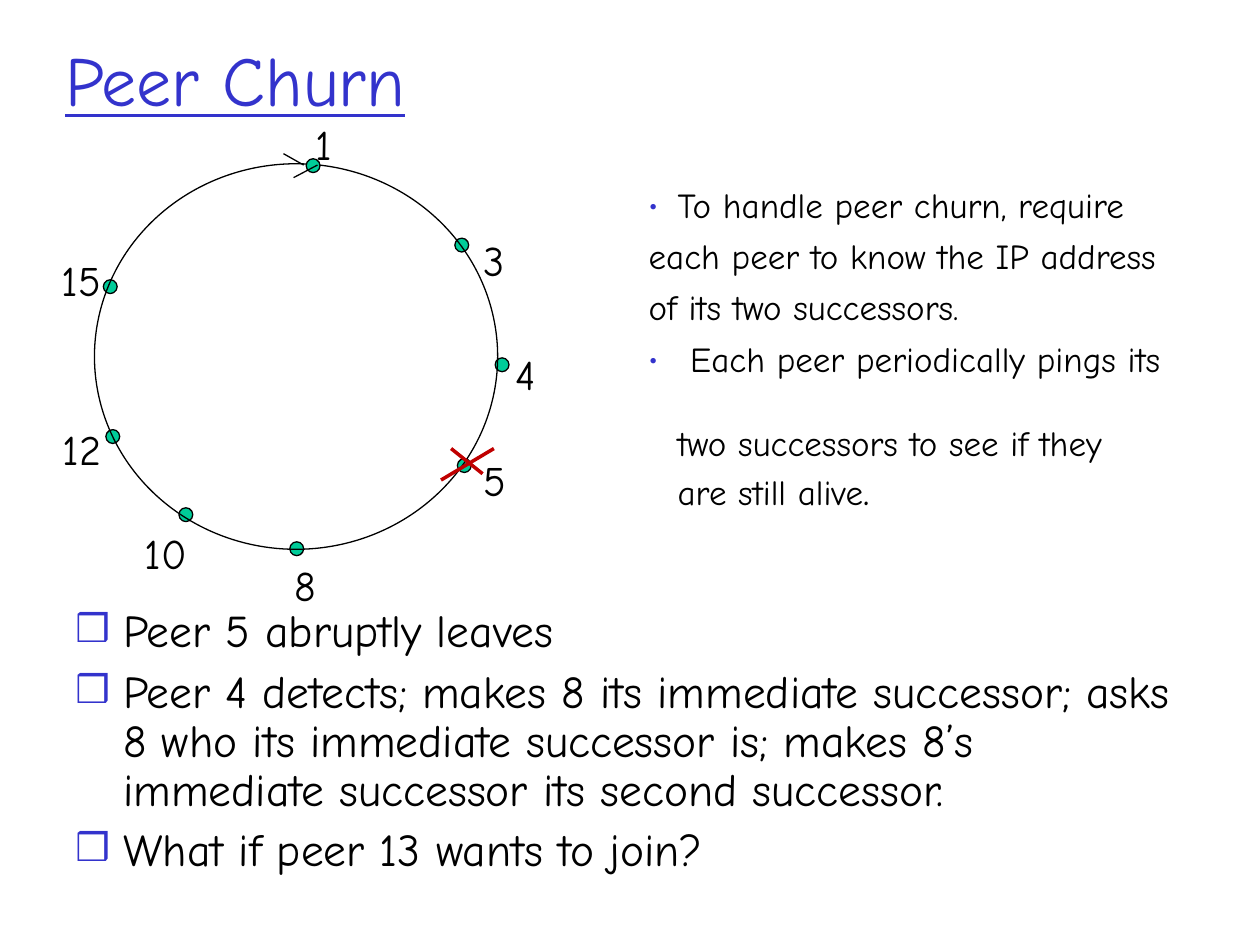
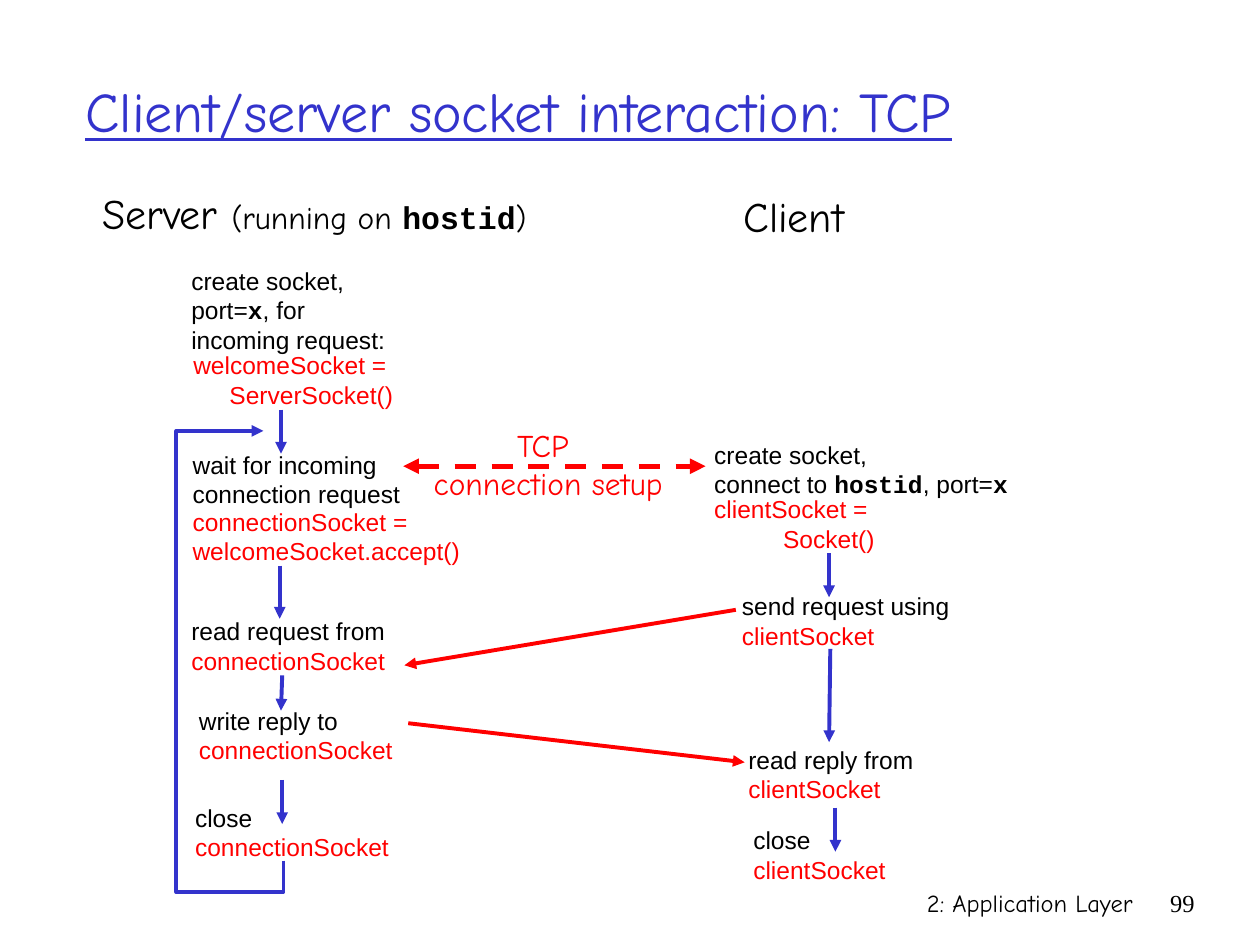
from lxml.etree import SubElement
from pptx import Presentation
from pptx.dml.color import RGBColor
from pptx.enum.dml import MSO_LINE
from pptx.enum.shapes import MSO_CONNECTOR, MSO_SHAPE
from pptx.enum.text import MSO_ANCHOR, MSO_AUTO_SIZE, PP_ALIGN
from pptx.oxml.ns import qn
from pptx.util import Inches, Pt

BLACK = RGBColor(0x00, 0x00, 0x00)
BLUE = RGBColor(0x33, 0x33, 0xCC)
GREEN = RGBColor(0x00, 0xCC, 0x99)
RED = RGBColor(0xFF, 0x00, 0x00)
DARK_RED = RGBColor(0xC0, 0x00, 0x00)

MONO = {"name": "Courier New", "bold": True}
CODE = {"color": RED}
RIGHT = {"alignment": PP_ALIGN.RIGHT}
CENTER = {"alignment": PP_ALIGN.CENTER}


class Deck:
    """Holds the shared style and the current slide, and draws each kind of element."""

    def __init__(self):
        self.prs = Presentation()
        self.prs.slide_width, self.prs.slide_height = Inches(10), Inches(7.5)
        self.font = {"name": "Comic Neue", "size": Pt(24), "color": BLACK}
        self.s = None

    def new_slide(self):
        self.s = self.prs.slides.add_slide(self.prs.slide_layouts[6])

    def text(self, box, paragraphs, font=None, para=None, anchor=MSO_ANCHOR.TOP, wrap=False):
        sp = self.s.shapes.add_textbox(*map(Inches, box))
        tf = sp.text_frame
        tf.word_wrap, tf.vertical_anchor = wrap, anchor
        tf.auto_size = MSO_AUTO_SIZE.NONE if wrap else MSO_AUTO_SIZE.SHAPE_TO_FIT_TEXT
        for i, item in enumerate(paragraphs):
            runs, own = item if isinstance(item, tuple) else (item, {})
            p = tf.paragraphs[0] if i == 0 else tf.add_paragraph()
            self.format_paragraph(p, {**(para or {}), **own})
            for run in [runs] if isinstance(runs, str) else runs:
                words, style = run if isinstance(run, tuple) else (run, {})
                r = p.add_run()
                r.text = words
                for name, value in {**self.font, **(font or {}), **style}.items():
                    if name == "color":
                        r.font.color.rgb = value
                    else:
                        setattr(r.font, name, value)

    def format_paragraph(self, p, fmt):
        bullet, margin = fmt.pop("bullet", None), fmt.pop("margin", 0)
        for name, value in fmt.items():
            setattr(p, name, value)
        pPr = p._p.get_or_add_pPr()
        pPr.set("marL", str(Inches(margin)))
        if bullet:
            pPr.set("indent", str(-Inches(margin)))
            color = SubElement(pPr, qn("a:buClr"))
            SubElement(color, qn("a:srgbClr"), val=str(BLUE))
            SubElement(pPr, qn("a:buSzPct"), val="85000")
            SubElement(pPr, qn("a:buFont"), typeface=self.font["name"])
            SubElement(pPr, qn("a:buChar"), char=bullet)

    def title(self, box, words, size):
        self.text(box, [words], {"size": Pt(size), "color": BLUE, "underline": True},
                  anchor=MSO_ANCHOR.MIDDLE, wrap=True)

    def ellipse(self, box, fill=None):
        sp = self.s.shapes.add_shape(MSO_SHAPE.OVAL, *map(Inches, box))
        sp.shadow.inherit = False
        if fill is None:
            sp.fill.background()
        else:
            sp.fill.solid()
            sp.fill.fore_color.rgb = fill
        self.stroke(sp, BLACK, 0.75)

    def stroke(self, sp, color, width, ends=()):
        sp.line.color.rgb, sp.line.width = color, Pt(width)
        for end in ends:
            SubElement(sp.line._get_or_add_ln(), qn(f"a:{end}"), type="triangle")

    def line(self, start, end, color=BLUE, width=2.25, ends=("tailEnd",), dash=None):
        sp = self.s.shapes.add_connector(MSO_CONNECTOR.STRAIGHT, *map(Inches, start + end))
        if dash:
            sp.line.dash_style = dash
        self.stroke(sp, color, width, ends)
        SubElement(sp._element.spPr, qn("a:effectLst"))

    def path_arrow(self, points):
        first, *rest = [tuple(map(Inches, point)) for point in points]
        builder = self.s.shapes.build_freeform(*first)
        builder.add_line_segments(rest, close=False)
        sp = builder.convert_to_shape()
        sp.shadow.inherit = False
        sp.fill.background()
        self.stroke(sp, BLUE, 2.25, ("tailEnd",))

    def step(self, left, top, width, lines, height=0.57, font=None, para=None):
        self.text((left, top, width, height), lines,
                  {"name": "Arial", "size": Pt(14), **(font or {})}, para, MSO_ANCHOR.MIDDLE)


def peer_churn(deck):
    deck.new_slide()
    deck.title((0.42, 0, 9, 1.25), "Peer Churn", 40)
    deck.text(
        (0.5, 4.78, 9, 2.33),
        ["Peer 5 abruptly leaves",
         "Peer 4 detects; makes 8 its immediate successor; asks 8 who its immediate "
         "successor is; makes 8’s immediate successor its second successor.",
         "What if peer 13 wants to join?"],
        {"size": Pt(26)},
        {"bullet": "❒", "margin": 0.38, "line_spacing": 0.9, "space_before": Pt(6.5)},
        wrap=True)

    peers = [
        ("1", (2.43, 1.26), (2.41, 0.89), 0.33),
        ("3", (3.61, 1.89), (3.74, 1.81), 0.37),
        ("4", (3.93, 2.84), (3.99, 2.72), 0.36),
        ("5", (3.63, 3.64), (3.74, 3.56), 0.38),
        ("8", (2.3, 4.3), (2.24, 4.39), 0.37),
        ("10", (1.42, 4.03), (1.05, 4.14), 0.6),
        ("12", (0.84, 3.41), (0.4, 3.31), 0.6),
        ("15", (0.82, 2.22), (0.39, 1.97), 0.6),
    ]
    dots = [dot + (0.11, 0.11) for _, dot, _, _ in peers]
    for dot in dots[1:]:
        deck.ellipse(dot, GREEN)
    deck.ellipse((0.75, 1.3, 3.2, 3.06))
    deck.ellipse(dots[0], GREEN)
    for number, _, place, width in peers:
        deck.text(place + (width, 0.5), [number], para={"space_before": Pt(6)}, wrap=True)

    for start, end in [((2.25, 1.22), (2.41, 1.31)), ((2.52, 1.31), (2.33, 1.41))]:
        deck.line(start, end, BLACK, 0.75, ())
    for start, end in [((3.58, 3.56), (3.83, 3.76)), ((3.92, 3.56), (3.5, 3.81))]:
        deck.line(start, end, DARK_RED, 2, ())

    deck.text(
        (5.05, 1.41, 4.33, 2.88),
        [("To handle peer churn, require", {"bullet": "•", "margin": 0.23}),
         "each peer to know the IP address",
         "of its two successors.",
         ("Each peer periodically pings its",
          {"bullet": "•", "margin": 0.33, "space_before": Pt(6)}),
         ("two successors to see if they", {"margin": 0.23, "space_before": Pt(24)}),
         (["are still alive", (".", {"size": Pt(24)})],
          {"margin": 0.23, "space_before": Pt(0)})],
        {"size": Pt(20)}, {"space_before": Pt(5)}, wrap=True)


def socket_interaction(deck):
    deck.new_slide()
    small = {"size": Pt(14)}
    deck.text((5.92, 7, 3.17, 0.5), ["2: Application Layer"], small, RIGHT, wrap=True)
    deck.text((9.08, 7, 0.5, 0.5), ["99"], {**small, "name": "Times New Roman"}, RIGHT, wrap=True)
    deck.title((0.58, 0.25, 8.5, 1.25), "Client/server socket interaction: TCP", 32)

    size = {"size": Pt(18)}
    server = ["Server ", ("(running on ", size), ("hostid", {**size, **MONO}), (")", size)]
    for box, heading, before in [((0.71, 1.44, 3.57, 0.5), server, 11.2),
                                 ((5.8, 1.46, 1, 0.5), "Client", 15)]:
        deck.text(box, [heading], para={**CENTER, "space_before": Pt(before)},
                  anchor=MSO_ANCHOR.MIDDLE, wrap=True)

    deck.step(1.42, 2.06, 1.74,
              ["create socket,", ["port=", ("x", MONO), ", for"], "incoming request:"], 0.8)
    deck.step(1.43, 2.73, 1.79, ["welcomeSocket = ", "ServerSocket()"], font=CODE, para=RIGHT)
    deck.step(1.43, 3.52, 1.85, ["wait for incoming", "connection request"])
    deck.step(1.43, 3.97, 2.36, ["connectionSocket =", "welcomeSocket.accept()"], font=CODE)
    deck.step(5.57, 3.44, 2.53,
              ["create socket,",
               ["connect to ", ("hostid", MONO), ", port=", ("x", MONO)]])
    deck.step(5.54, 3.87, 1.5, ["clientSocket = ", "Socket()"], font=CODE, para=RIGHT)

    for left, top, width, action, socket in [
        (1.42, 4.84, 1.74, "read request from", "connectionSocket"),
        (1.48, 5.55, 1.74, "write reply to", "connectionSocket"),
        (1.45, 6.32, 1.74, "close", "connectionSocket"),
        (5.79, 4.64, 1.85, "send request using", "clientSocket"),
        (5.84, 5.86, 1.51, "read reply from", "clientSocket"),
        (5.88, 6.5, 1.25, "close", "clientSocket"),
    ]:
        deck.step(left, top, width, [action, [(socket, CODE)]])

    for start, end in [
        ((2.23, 3.25), (2.23, 3.6)), ((2.22, 4.49), (2.22, 4.91)),
        ((2.24, 5.36), (2.23, 5.64)), ((2.24, 6.19), (2.24, 6.54)),
        ((6.58, 4.39), (6.58, 4.74)), ((6.59, 5.15), (6.58, 5.89)),
        ((6.63, 6.41), (6.63, 6.76)),
    ]:
        deck.line(start, end)
    deck.path_arrow([(2.25, 6.83), (2.25, 7.08), (1.4, 7.08), (1.4, 3.42), (2.09, 3.42)])

    for start, end in [((5.84, 4.84), (3.21, 5.28)), ((3.24, 5.74), (5.91, 6.05))]:
        deck.line(start, end, RED)
    deck.line((3.2, 3.7), (5.6, 3.7), RED, 3, ("headEnd", "tailEnd"), MSO_LINE.DASH)
    deck.text((3.34, 3.33, 2.02, 0.7), ["TCP ", "connection setup"],
              {**size, **CODE}, CENTER, MSO_ANCHOR.MIDDLE)


def main():
    deck = Deck()
    peer_churn(deck)
    socket_interaction(deck)
    deck.prs.save("out.pptx")


if __name__ == "__main__":
    main()
